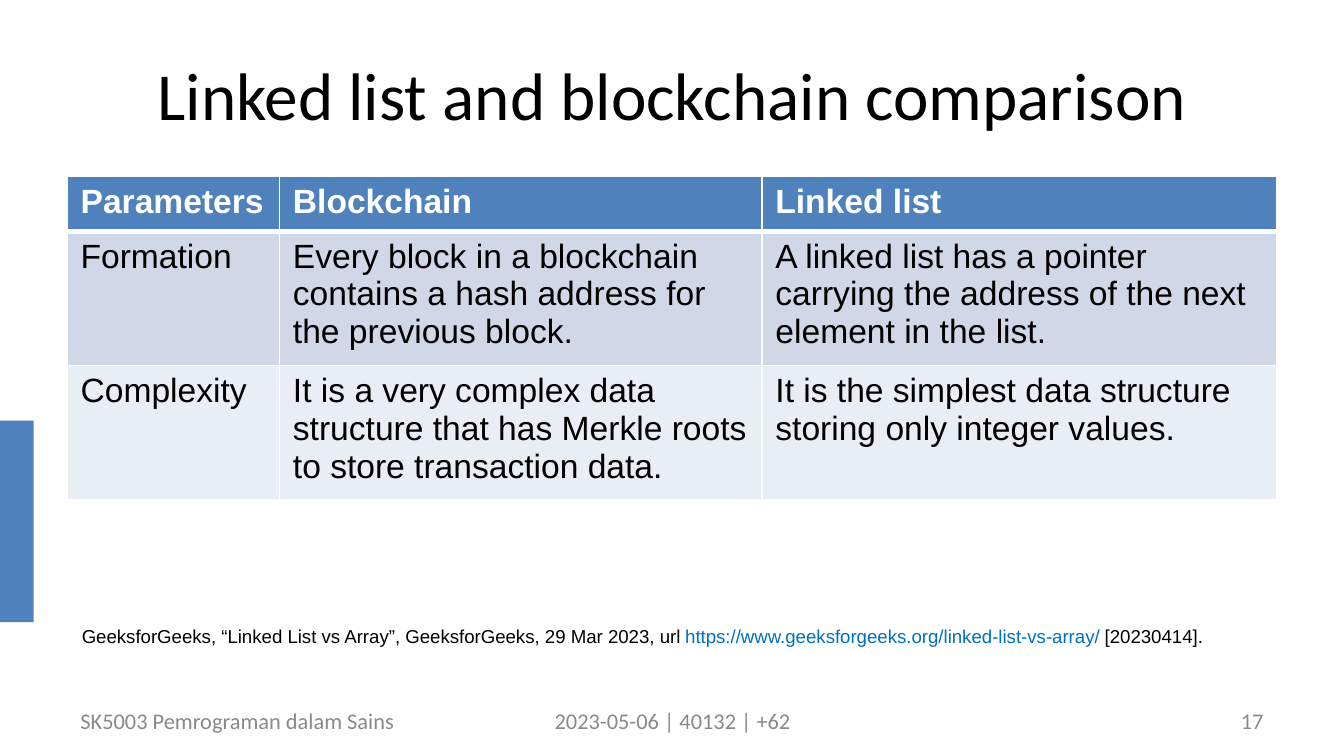
from dataclasses import dataclass

import pptx
import pptx.dml.color
import pptx.enum.shapes
import pptx.enum.text
import pptx.oxml
import pptx.oxml.ns
import pptx.util

Inches = pptx.util.Inches
Pt = pptx.util.Pt
Align = pptx.enum.text.PP_ALIGN
Anchor = pptx.enum.text.MSO_ANCHOR


@dataclass(frozen=True)
class Theme:
    accent: str = "4F81BD"
    bands: tuple = ("D0D8E8", "E9EDF4")
    light: str = "FFFFFF"
    dark: str = "000000"
    link: str = "0070C0"
    footer: str = "898989"
    number: str = "8C8C8C"
    heading_font: str = "Calibri"
    body_font: str = "Arial"
    title_size: int = 36
    table_size: int = 18
    footer_size: int = 12
    source_size: int = 10


THEME = Theme()

ROWS = [
    ("Parameters", "Blockchain", "Linked list"),
    ("Formation",
     "Every block in a blockchain contains a hash address for the previous block.",
     "A linked list has a pointer carrying the address of the next element in the list."),
    ("Complexity",
     "It is a very complex data structure that has Merkle roots to store transaction data.",
     "It is the simplest data structure storing only integer values."),
]
COLUMN_WIDTHS = (1.58, 3.59, 3.83)
ROW_HEIGHTS = (0.41, 1, 1)

SOURCE = [
    ("GeeksforGeeks, “Linked List vs Array”, GeeksforGeeks, 29 Mar 2023, url ", THEME.dark),
    ("https://www.geeksforgeeks.org/linked-list-vs-array/", THEME.link),
    (" [20230414].", THEME.dark),
]


def rgb(value):
    return pptx.dml.color.RGBColor.from_string(value)


def add_run(paragraph, text, color, **formats):
    run = paragraph.add_run()
    run.text = text
    run.font.color.rgb = rgb(color)
    for name, value in formats.items():
        setattr(run.font, name, value)


def add_text(slide, box, runs, font, size, align=Align.LEFT, anchor=Anchor.MIDDLE):
    shape = slide.shapes.add_textbox(*map(Inches, box))
    frame = shape.text_frame
    for name, value in {"word_wrap": True, "vertical_anchor": anchor}.items():
        setattr(frame, name, value)
    paragraph = frame.paragraphs[0]
    paragraph.alignment = align
    for text, color in runs:
        add_run(paragraph, text, color, name=font, size=Pt(size))


def add_side_bar(slide, box):
    bar = slide.shapes.add_shape(pptx.enum.shapes.MSO_SHAPE.RECTANGLE, *map(Inches, box))
    bar.shadow.inherit = False
    bar.fill.solid()
    bar.fill.fore_color.rgb = rgb(THEME.accent)
    bar.line.fill.background()


def set_borders(cell, widths):
    properties = cell._tc.get_or_add_tcPr()
    for side, points in widths.items():
        properties.append(pptx.oxml.parse_xml(
            f'<a:ln{side} {pptx.oxml.ns.nsdecls("a")} w="{Pt(points)}"><a:solidFill>'
            f'<a:srgbClr val="{THEME.light}"/></a:solidFill></a:ln{side}>'))


def add_comparison_table(slide, box):
    table = slide.shapes.add_table(len(ROWS), len(COLUMN_WIDTHS), *map(Inches, box)).table
    for column, width in zip(table.columns, COLUMN_WIDTHS):
        column.width = Inches(width)
    for index, (row, height, texts) in enumerate(zip(table.rows, ROW_HEIGHTS, ROWS)):
        row.height = Inches(height)
        header = index == 0
        fill = THEME.accent if header else THEME.bands[(index - 1) % 2]
        # A heavier rule separates the header from the body
        widths = {"L": 1, "R": 1, "T": 3 if index == 1 else 1, "B": 3 if header else 1}
        for cell, text in zip(row.cells, texts):
            set_borders(cell, widths)
            cell.fill.solid()
            cell.fill.fore_color.rgb = rgb(fill)
            add_run(cell.text_frame.paragraphs[0], text,
                    THEME.light if header else THEME.dark,
                    name=THEME.body_font, size=Pt(THEME.table_size), bold=header)


def add_footer(slide, box):
    left, top, width, height = box
    parts = [
        (0, 2.58, "SK5003 Pemrograman dalam Sains", THEME.footer, Align.LEFT),
        (2.92, 3.17, "2023-05-06 | 40132 | +62", THEME.footer, Align.CENTER),
        (width - 2.33, 2.33, "17", THEME.number, Align.RIGHT),
    ]
    for offset, part_width, text, color, align in parts:
        add_text(slide, (left + offset, top, part_width, height), [(text, color)],
                 THEME.heading_font, THEME.footer_size, align)


def main():
    presentation = pptx.Presentation()
    # Widescreen, 16:9
    presentation.slide_width = Inches(10)
    presentation.slide_height = Inches(10 * 9 / 16)
    slide = presentation.slides.add_slide(presentation.slide_layouts[6])

    # Side bar and title
    add_side_bar(slide, (0, 3.13, 0.25, 1.5))
    add_text(slide, (0.5, 0.23, 9, 0.94),
             [("Linked list and blockchain comparison", THEME.dark)],
             THEME.heading_font, THEME.title_size, Align.CENTER)

    # Table, its source and the footer
    add_comparison_table(slide, (0.5, 1.31, 9, 2.41))
    add_text(slide, (0.51, 4.6, 8.99, 0.27), SOURCE,
             THEME.body_font, THEME.source_size, anchor=Anchor.TOP)
    add_footer(slide, (0.5, 5.21, 9, 0.3))

    presentation.save("out.pptx")


if __name__ == "__main__":
    main()
